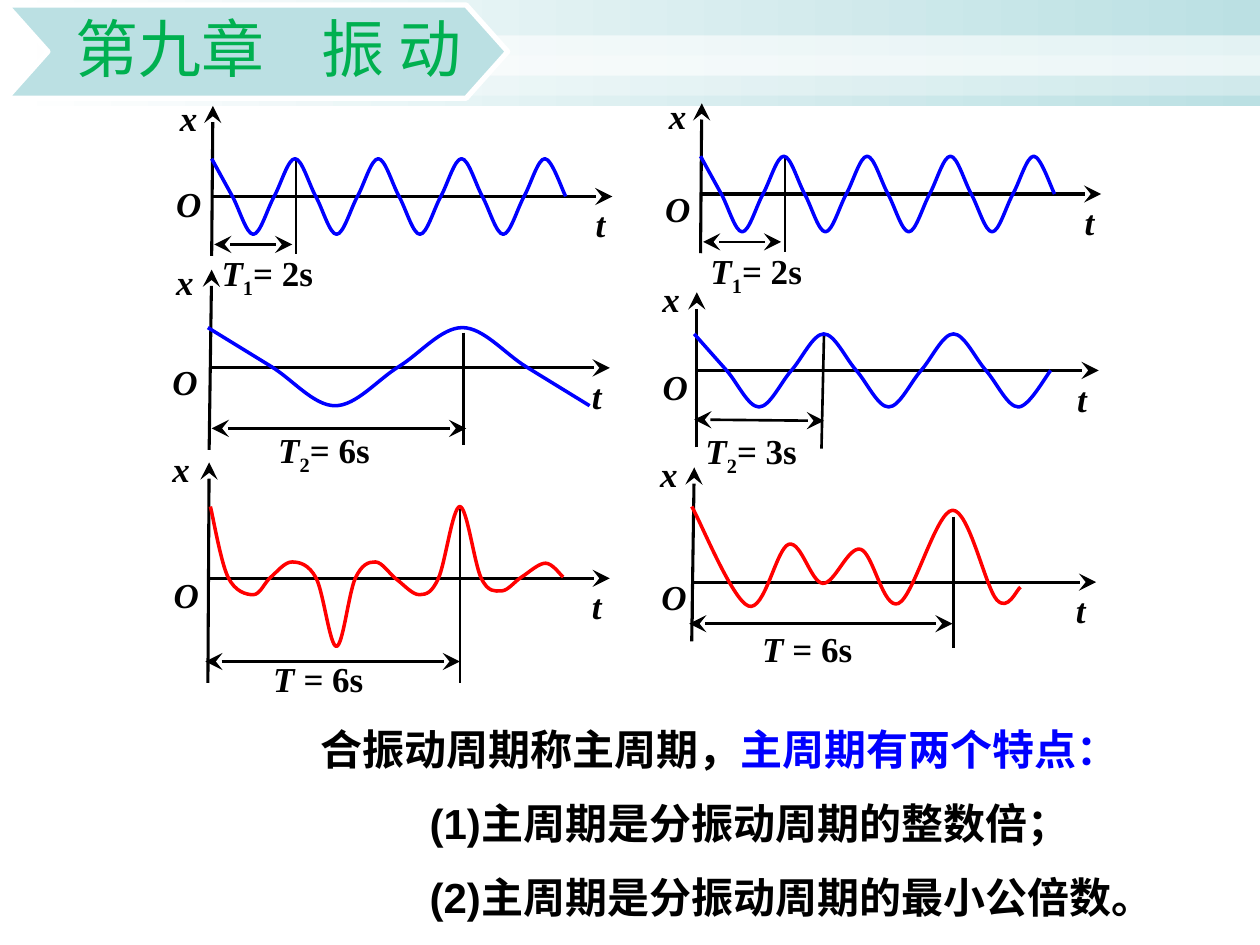
"""Build the slide on the main period of combined vibrations."""
from math import cos, pi

from lxml.etree import SubElement
from pptx import Presentation
from pptx.dml.color import RGBColor
from pptx.enum.shapes import MSO_CONNECTOR as Connector, MSO_SHAPE as Shape
from pptx.enum.text import MSO_ANCHOR as Anchor, MSO_AUTO_SIZE as AutoSize, PP_ALIGN as Align
from pptx.oxml.ns import qn
from pptx.util import Inches, Pt

BLACK, WHITE, BLUE, RED, GREEN, TEAL = "000000", "FFFFFF", "0000FF", "FF0000", "00B050", "BBE0E3"


def color(code):
    """Turn a hex string into a colour."""
    return RGBColor.from_string(code)


def wave(start, end, count, middle, height):
    """Return the knots of a cosine, one per quarter period."""
    step = (end - start) / count
    return [(start + i * step, middle - height * cos(i * pi / 2)) for i in range(count + 1)]


def period(number, seconds):
    """Return the parts of a numbered period label."""
    return [("T", True, 0), (number, False, -25000), (f"= {seconds}s", False, 0)]


MAIN_PERIOD = [("T = ", True, 0), ("6s", False, 0)]


class Slide:
    """Hold the style and the current slide."""

    def __init__(self, page):
        """Keep the page to draw on."""
        self.page = page
        self.shapes = page.shapes

    def style(self, paragraph, size, name, code, bold=False):
        """Set the font of a whole paragraph."""
        font = paragraph.font
        font.size, font.name, font.bold = Pt(size), name, bold
        font.color.rgb = color(code)

    def place(self, shape, *bounds):
        """Move and size a shape."""
        shape.left, shape.top, shape.width, shape.height = map(Inches, bounds)

    def band(self, top, height, alpha=None):
        """Draw a full-width header band, a gradient or a see-through white."""
        shape = self.shapes.add_shape(Shape.RECTANGLE, 0, Inches(top), Inches(10), Inches(height))
        shape.shadow.inherit = False
        shape.line.fill.background()
        if alpha is None:
            shape.fill.gradient()
            shape.fill.gradient_angle = 0
            for stop, code in zip(shape.fill.gradient_stops, (WHITE, TEAL)):
                stop.color.rgb = color(code)
        else:
            shape.fill.solid()
            shape.fill.fore_color.rgb = color(WHITE)
            tint = shape.fill._xPr.find(".//" + qn("a:srgbClr"))
            SubElement(tint, qn("a:alpha"), val=str(alpha * 1000))

    def outline(self, points, code, width, closed=False):
        """Draw a freeform through points."""
        places = [(Inches(x), Inches(y)) for x, y in points]
        builder = self.shapes.build_freeform(*places[0])
        builder.add_line_segments(places[1:], close=closed)
        shape = builder.convert_to_shape()
        shape.shadow.inherit = False
        shape.line.color.rgb = color(code)
        shape.line.width = Pt(width)
        return shape

    def curve(self, knots, code):
        """Draw a smooth curve through knots."""
        padded = [knots[0], *knots, knots[-1]]
        points = [knots[0]]
        for before, start, end, after in zip(padded, padded[1:], padded[2:], padded[3:]):
            points.append(tuple(s + (e - b) / 6 for b, s, e in zip(before, start, end)))
            points.append(tuple(e - (a - s) / 6 for s, e, a in zip(start, end, after)))
            points.append(end)
        shape = self.outline(points, code, 2)
        shape.fill.background()
        track = shape._element.xpath(".//a:path")[0]
        segments = track.findall(qn("a:lnTo"))
        for i in range(0, len(segments), 3):
            bend = SubElement(track, qn("a:cubicBezTo"))
            for segment in segments[i:i + 3]:
                bend.append(segment[0])
                track.remove(segment)

    def line(self, ends, width=1.5, arrows=()):
        """Draw a straight line with optional arrowheads."""
        link = self.shapes.add_connector(Connector.STRAIGHT, *map(Inches, ends))
        link.line.color.rgb = color(BLACK)
        link.line.width = Pt(width)
        for arrow in arrows:
            SubElement(link.line._get_or_add_ln(), qn(f"a:{arrow}"), type="stealth", w="lg", len="lg")
        SubElement(link._element.spPr, qn("a:effectLst"))

    def label(self, left, top, width, parts):
        """Write a bold label from (text, italic, baseline) parts."""
        box = self.shapes.add_textbox(*map(Inches, (left, top, width, 0.44)))
        box.text_frame.word_wrap = True
        box.text_frame.auto_size = AutoSize.SHAPE_TO_FIT_TEXT
        para = box.text_frame.paragraphs[0]
        self.style(para, 20, "Times New Roman", BLACK, True)
        for text, italic, baseline in parts:
            span = para.add_run()
            span.text = text
            span.font.italic = italic
            if baseline:
                span.font._element.set("baseline", str(baseline))

    def graph(self, across, up, names, knots, code, marker, span, caption, parts):
        """Draw one vibration graph with its axes, curve and period."""
        self.line(across, 1.75, ["tailEnd"])
        self.line(up, 1.75, ["tailEnd"])
        for text, width, spot in zip("txO", (0.3, 0.36, 0.42), names):
            self.label(*spot, width, [(text, True, 0)])
        self.line(marker)
        self.curve(knots, code)
        self.line(span, arrows=["headEnd", "tailEnd"])
        self.label(*caption, 1.05, parts)

    def title(self, first, second):
        """Write the chapter title on its arrow banner."""
        corners = [(0.05, 0.04), (3.7, 0.04), (4.03, 0.41), (3.7, 0.78), (0.05, 0.78), (0.38, 0.41)]
        banner = self.outline(corners, WHITE, 3, closed=True)
        banner.fill.solid()
        banner.fill.fore_color.rgb = color(TEAL)
        title = self.shapes.title
        self.shapes._spTree.append(title._element)
        self.place(title, 0.05, 0.04, 3.98, 0.74)
        frame = title.text_frame
        frame.auto_size, frame.word_wrap, frame.vertical_anchor = AutoSize.NONE, True, Anchor.MIDDLE
        frame.margin_left, frame.margin_right = Inches(0.55), Inches(0.1)
        frame.margin_top = frame.margin_bottom = Inches(0.03)
        frame.text = f"{first}\t{second}"
        para = frame.paragraphs[0]
        para.alignment, para.line_spacing = Align.LEFT, 0.9
        tabs = SubElement(para._p.get_or_add_pPr(), qn("a:tabLst"))
        SubElement(tabs, qn("a:tab"), pos=str(Inches(1.95)), algn="l")
        self.style(para, 36, "Calibri", GREEN)

    def body(self, lines):
        """Write the conclusions, each an indent and its coloured parts."""
        body = self.page.placeholders[1]
        self.place(body, 2.44, 5.69, 7.3, 1.75)
        frame = body.text_frame
        frame.auto_size, frame.word_wrap = AutoSize.NONE, True
        for i, (indent, parts) in enumerate(lines):
            para = frame.add_paragraph() if i else frame.paragraphs[0]
            para.space_before = Pt(13.7 if i else 0)
            settings = para._p.get_or_add_pPr()
            settings.set("marL", str(Inches(indent)))
            settings.set("indent", "0")
            SubElement(settings, qn("a:buNone"))
            self.style(para, 24, "Arial", BLACK, True)
            for text, code in parts:
                span = para.add_run()
                span.text = text
                span.font.color.rgb = color(code)


def main():
    """Build and save the deck."""
    deck = Presentation()
    deck.slide_width, deck.slide_height = Inches(10), Inches(7.5)
    slide = Slide(deck.slides.add_slide(deck.slide_layouts[1]))
    slide.band(0, 0.84)
    slide.band(0.28, 0.32, 60)
    slide.band(0.44, 0.32, 31)
    slide.title("第九章", "振 动")

    for x, y, origin_y in ((1.68, 1.56, 1.4), (5.56, 1.54, 1.44)):
        slide.graph((x, y, x + 3.18, y), (x, y + 0.47, x + 0.01, y - 0.72),
                    [(x + 2.95, y), (x - 0.35, y - 0.84), (x - 0.38, origin_y)],
                    wave(x, x + 2.81, 17, y, 0.3), BLUE,
                    (x + 0.67, y - 0.3, x + 0.67, y + 0.46),
                    (x + 0.02, y + 0.38, x + 0.64, y + 0.38), (x - 0.02, y + 0.39), period("1", 2))
    slide.graph((1.66, 2.92, 4.84, 2.92), (1.66, 3.57, 1.68, 2.14),
                [(4.6, 2.92), (1.3, 2.02), (1.27, 2.81)], wave(1.65, 4.68, 6, 2.91, 0.31), BLUE,
                (3.68, 2.64, 3.68, 3.53), (1.68, 3.4, 3.7, 3.4), (2.11, 3.35), period("2", 6))
    slide.graph((5.52, 2.94, 8.72, 2.94), (5.53, 3.55, 5.53, 2.32),
                [(8.45, 2.95), (5.16, 2.15), (5.16, 2.85)], wave(5.51, 8.34, 11, 2.94, 0.29), BLUE,
                (6.54, 2.65, 6.52, 3.56), (5.51, 3.33, 6.54, 3.34), (5.5, 3.36), period("2", 3))
    left_sum = [(1.67, 4.02), (1.81, 4.58), (2.01, 4.72), (2.15, 4.58), (2.32, 4.46), (2.51, 4.59),
                (2.67, 5.13), (2.82, 4.59), (2.98, 4.46), (3.15, 4.6), (3.33, 4.72), (3.48, 4.59),
                (3.65, 4.02), (3.82, 4.59), (3.98, 4.69), (4.14, 4.58), (4.33, 4.47), (4.47, 4.58)]
    slide.graph((1.66, 4.59, 4.84, 4.59), (1.65, 5.42, 1.66, 3.67),
                [(4.6, 4.59), (1.27, 3.5), (1.28, 4.5)], left_sum, RED,
                (3.65, 4.04, 3.65, 5.42), (1.63, 5.25, 3.65, 5.25), (2.07, 5.17), MAIN_PERIOD)
    right_sum = [(5.49, 4.02), (5.94, 4.81), (6.26, 4.32), (6.53, 4.63), (6.83, 4.36),
                 (7.13, 4.79), (7.56, 4.05), (7.91, 4.76), (8.1, 4.66)]
    slide.graph((5.5, 4.62, 8.7, 4.62), (5.49, 5.09, 5.51, 3.71),
                [(8.44, 4.62), (5.14, 3.54), (5.15, 4.52)], right_sum, RED,
                (7.57, 4.1, 7.57, 5.14), (5.47, 4.95, 7.56, 4.95), (5.95, 4.93), MAIN_PERIOD)
    slide.line((5.5, 4.32, 5.5, 4.91), 0.75)

    slide.body([(0, [("合振动周期称主周期，", BLACK), ("主周期有两个特点：", BLUE)]),
                (0.87, [("(1)主周期是分振动周期的整数倍；", BLACK)]),
                (0.87, [("(2)主周期是分振动周期的最小公倍数。", BLACK)])])
    deck.save("out.pptx")


if __name__ == "__main__":
    main()
